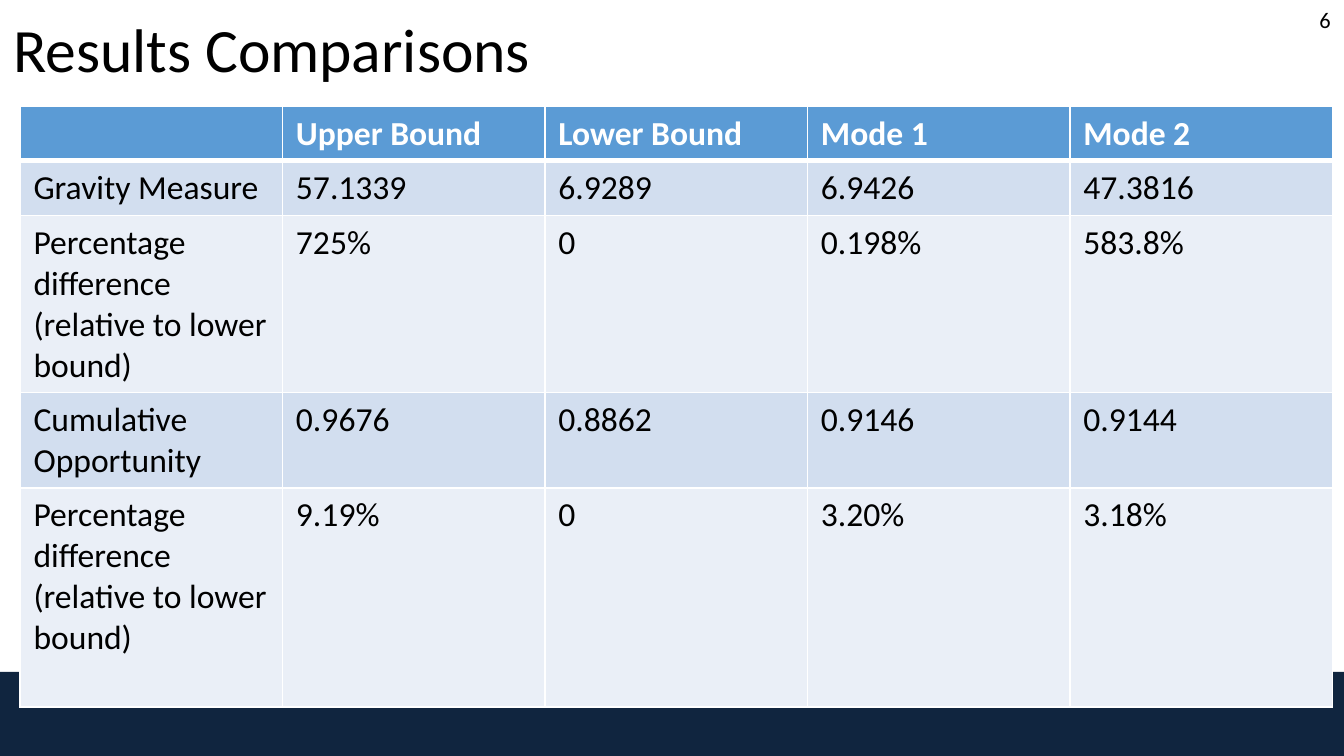
from lxml import etree
from pptx import Presentation
from pptx.dml.color import RGBColor
from pptx.enum.shapes import MSO_SHAPE
from pptx.enum.text import MSO_ANCHOR, PP_ALIGN
from pptx.oxml.ns import qn
from pptx.util import Cm, Pt

RECT = MSO_SHAPE.RECTANGLE
TOP, MIDDLE = MSO_ANCHOR.TOP, MSO_ANCHOR.MIDDLE
LEFT, RIGHT = PP_ALIGN.LEFT, PP_ALIGN.RIGHT


def color(code):
    return RGBColor.from_string(code)


def write(frame, text, size=18, ink="000000", bold=False, align=LEFT,
          anchor=TOP, spacing=1.0):
    frame.word_wrap = True
    frame.vertical_anchor = anchor
    para = frame.paragraphs[0]
    para.alignment = align
    para.line_spacing = spacing
    para.font.size = Pt(size)
    if text:
        run = para.add_run()
        run.text = text
        run.font.name = "Calibri"
        run.font.size = Pt(size)
        run.font.bold = bold
        run.font.color.rgb = color(ink)


deck = Presentation()
deck.slide_width, deck.slide_height = Cm(25.4), Cm(14.29)
slide = deck.slides.add_slide(deck.slide_layouts[6])
shapes = slide.shapes

# Footer band
band = shapes.add_shape(RECT, 0, Cm(12.7), Cm(25.4), Cm(1.59))
band.shadow.inherit = False
band.fill.solid()
band.fill.fore_color.rgb = color("10253F")
band.line.fill.background()

# Title and page number
title = shapes.add_textbox(0, 0, Cm(21.9), Cm(2))
write(title.text_frame, "Results Comparisons", size=33, anchor=MIDDLE,
      spacing=0.9)
page = shapes.add_textbox(Cm(19.69), 0, Cm(5.71), Cm(0.76))
write(page.text_frame, "6", size=12, align=RIGHT)

# Results table
share = "Percentage difference (relative to lower bound)"
rows = [
    ["", "Upper Bound", "Lower Bound", "Mode 1", "Mode 2"],
    ["Gravity Measure", "57.1339", "6.9289", "6.9426", "47.3816"],
    [share, "725%", "0", "0.198%", "583.8%"],
    ["Cumulative Opportunity", "0.9676", "0.8862", "0.9146", "0.9144"],
    [share, "9.19%", "0", "3.20%", "3.18%"],
]
heights = [1.03, 1.03, 3.35, 1.8, 4.14]
table = shapes.add_table(len(rows), len(rows[0]), Cm(0.38), Cm(2.01),
                         Cm(24.8), Cm(sum(heights))).table
for col in table.columns:
    col.width = Cm(4.96)

for r, (row, height) in enumerate(zip(rows, heights)):
    table.rows[r].height = Cm(height)
    head = r == 0
    fill = "5B9BD5" if head else ("EAEFF7", "D2DEEF")[r % 2]
    for c, text in enumerate(row):
        cell = table.cell(r, c)
        write(cell.text_frame, text, bold=head,
              ink="FFFFFF" if head else "000000")
        # White borders, thicker under the header
        props = cell._tc.get_or_add_tcPr()
        for side in "LRTB":
            thick = (head and side == "B") or (r == 1 and side == "T")
            line = etree.SubElement(props, qn("a:ln" + side),
                                    w=str(Pt(3 if thick else 1)))
            solid = etree.SubElement(line, qn("a:solidFill"))
            etree.SubElement(solid, qn("a:srgbClr"), val="FFFFFF")
        cell.fill.solid()
        cell.fill.fore_color.rgb = color(fill)

deck.save("out.pptx")
